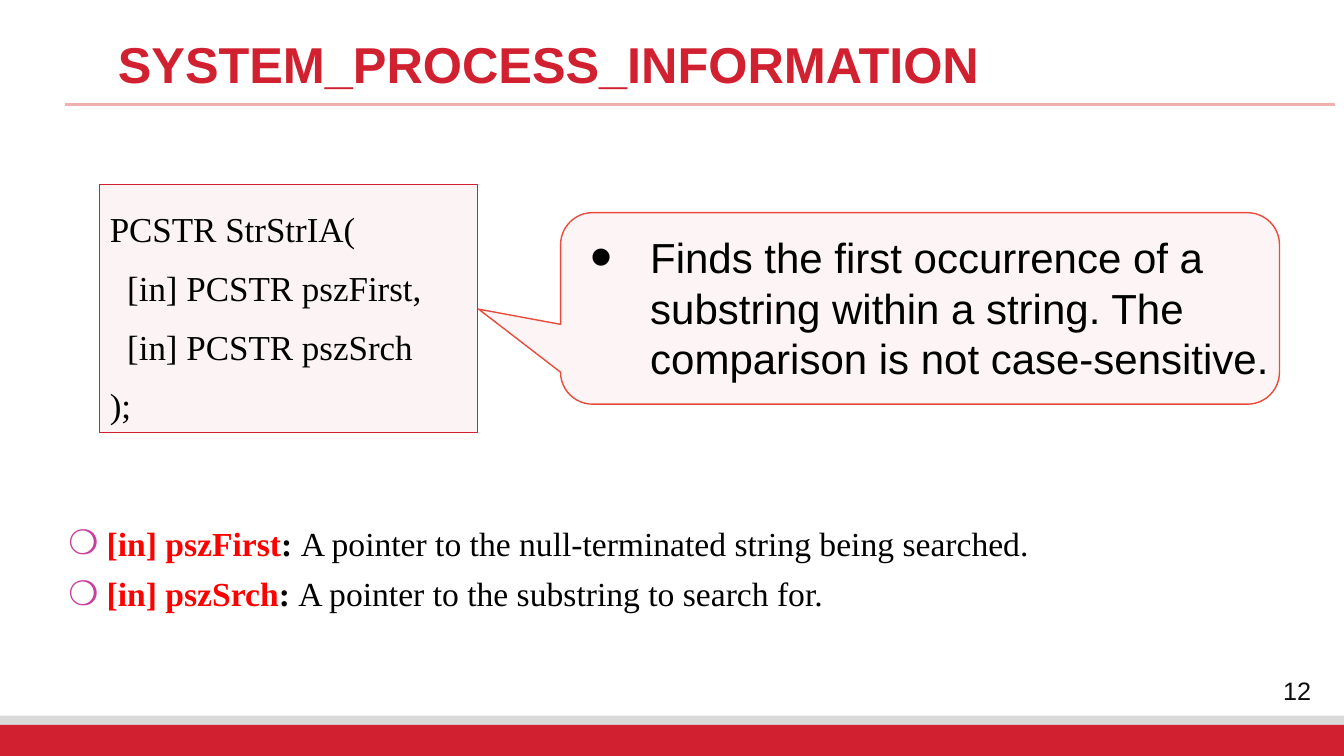
from lxml.etree import SubElement
from pptx import Presentation
from pptx.dml.color import RGBColor
from pptx.enum.shapes import MSO_CONNECTOR, MSO_SHAPE
from pptx.enum.text import MSO_ANCHOR, PP_ALIGN
from pptx.oxml.ns import qn
from pptx.util import Inches, Pt

RED = RGBColor(0xD1, 0x20, 0x2F)
CORAL = RGBColor(0xE7, 0x4C, 0x3C)
ROSE = RGBColor(0xF0, 0xB0, 0xB0)
GREY = RGBColor(0xD9, 0xD9, 0xD9)
INK = RGBColor(0x0D, 0x0D, 0x0D)
BLACK = RGBColor(0, 0, 0)
BRIGHT = RGBColor(0xFF, 0, 0)
SANS, SERIF = "Arial", "Times New Roman"

deck = Presentation()
deck.slide_width, deck.slide_height = Inches(13.33), Inches(7.5)
slide = deck.slides.add_slide(deck.slide_layouts[6])
shapes = slide.shapes


def span(*shares):
    sides = (deck.slide_width, deck.slide_height) * 2
    return [int(side * share / 100) for side, share in zip(sides, shares)]


def bullet(para, mark, indent, hang, size, color=None):
    props = para._p.get_or_add_pPr()
    props.set("marL", str(Inches(indent)))
    props.set("indent", str(-Inches(hang)))
    if color:
        tint = SubElement(props, qn("a:buClr"))
        SubElement(tint, qn("a:srgbClr"), val=color)
    SubElement(props, qn("a:buSzPct"), val=str(size * 1000))
    SubElement(props, qn("a:buFont"), typeface=SANS)
    SubElement(props, qn("a:buChar"), char=mark)


for top, color in ((94.67, GREY), (95.87, RED)):
    band = shapes.add_shape(MSO_SHAPE.RECTANGLE, *span(0, top, 100, 100 - top))
    band.shadow.inherit = False
    band.fill.solid()
    band.fill.fore_color.rgb = color
    band.line.fill.background()

rule = shapes.add_connector(MSO_CONNECTOR.STRAIGHT, *span(4.8, 13.87, 99.32, 13.87))
rule.line.color.rgb = ROSE
rule.line.width = Pt(2.25)
SubElement(rule._element.spPr, qn("a:effectLst"))

code = shapes.add_shape(MSO_SHAPE.RECTANGLE, *span(7.43, 24.4, 28.13, 32.8))
bubble = shapes.add_shape(
    MSO_SHAPE.ROUNDED_RECTANGULAR_CALLOUT, *span(41.71, 28.13, 53.49, 25.33)
)
for index, value in enumerate((-0.614, 0.004, 0.167)):
    bubble.adjustments[index] = value
for panel, color, width in ((code, RED, 0.75), (bubble, CORAL, 1)):
    panel.shadow.inherit = False
    panel.fill.solid()
    panel.fill.fore_color.rgb = color
    tint = panel._element.spPr.find(qn("a:solidFill"))[0]
    SubElement(tint, qn("a:alpha"), val="5000")
    panel.line.color.rgb = color
    panel.line.width = Pt(width)

frame = code.text_frame
frame.text = "PCSTR StrStrIA(\n  [in] PCSTR pszFirst,\n  [in] PCSTR pszSrch\n);"
for para in frame.paragraphs:
    para.alignment = PP_ALIGN.LEFT
    para.line_spacing = 1.4
    para.font.name, para.font.size = SERIF, Pt(25)
    para.font.color.rgb = BLACK

labels = (
    (span(93.1, 88.67, 6.83, 5.2), "12", 18, INK),
    (span(8.03, 4.67, 85.3, 6.4), "SYSTEM_PROCESS_INFORMATION", 36, RED),
    (
        span(41.71, 30, 53.49, 21.47),
        "Finds the first occurrence of a substring within a string. "
        "The comparison is not case-sensitive.",
        30,
        BLACK,
    ),
)
boxes = []
for place, text, size, color in labels:
    box = shapes.add_textbox(*place)
    box.text_frame.word_wrap = True
    box.text_frame.text = text
    para = box.text_frame.paragraphs[0]
    if size == 30:
        bullet(para, "•", 0.79, 0.59, 150)
    font = para.runs[0].font
    font.name, font.size, font.color.rgb = SANS, Pt(size), color
    boxes.append(box)

page, title, note = boxes
page.text_frame.vertical_anchor = MSO_ANCHOR.MIDDLE
page.text_frame.paragraphs[0].alignment = PP_ALIGN.CENTER
head = title.text_frame.paragraphs[0]
head.line_spacing = 0.9
head.runs[0].font.bold = True

terms = (
    ("[in] pszFirst", "A pointer to the null-terminated string being searched."),
    ("[in] pszSrch", "A pointer to the substring to search for."),
)
frame = shapes.add_textbox(*span(4.35, 69.07, 81.17, 12.93)).text_frame
frame.word_wrap = True
for index, (term, sense) in enumerate(terms):
    para = frame.add_paragraph() if index else frame.paragraphs[0]
    para.line_spacing = 0.9
    para.space_after = Pt(10)
    bullet(para, "❍", 0.38, 0.38, 100, "CA3E9D")
    for text, color, bold in (
        (term, BRIGHT, True),
        (": ", BLACK, True),
        (sense, BLACK, False),
    ):
        run = para.add_run()
        run.text = text
        run.font.name, run.font.size = SERIF, Pt(24)
        run.font.color.rgb, run.font.bold = color, bold

deck.save("out.pptx")
